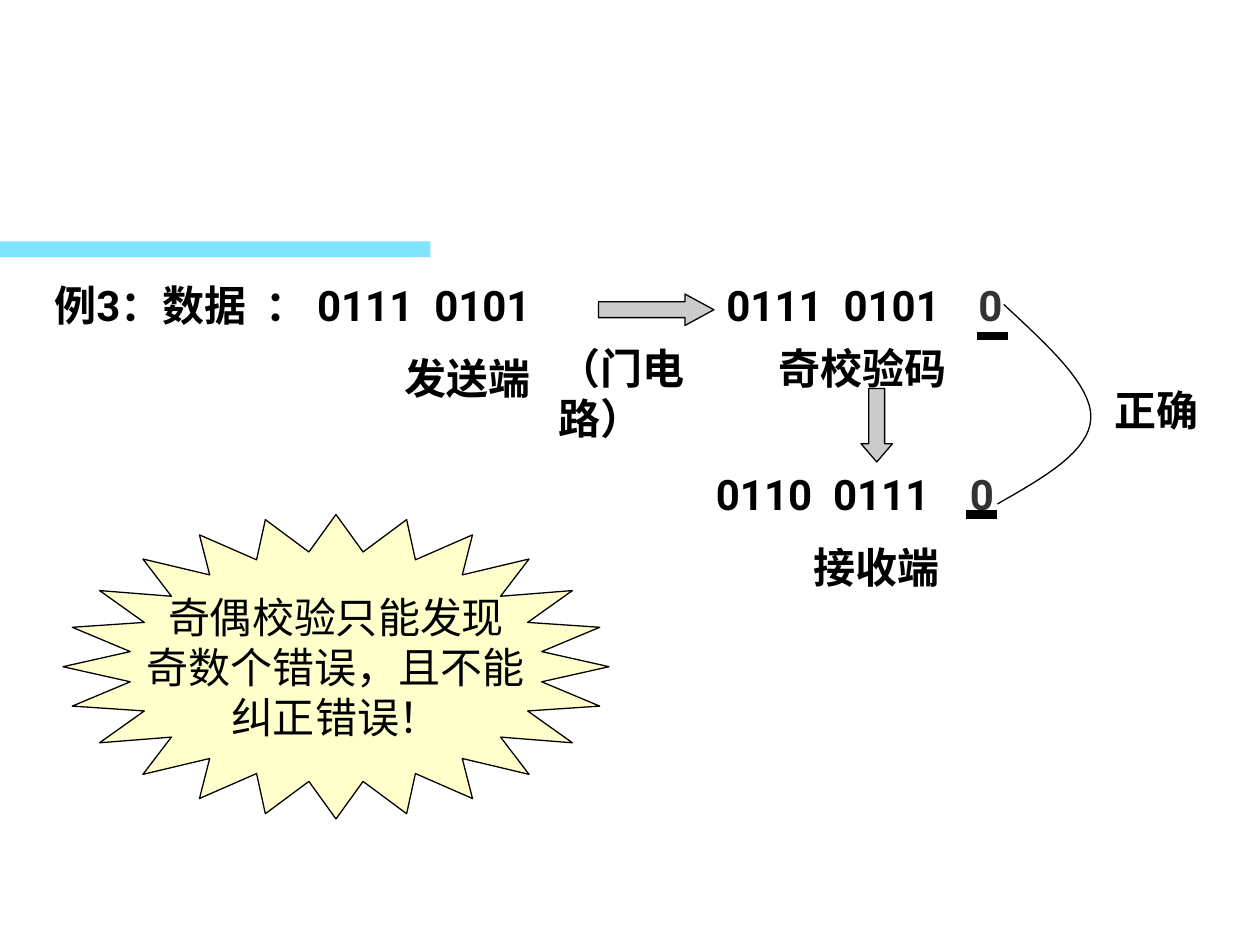
from pptx import Presentation
from pptx.dml.color import RGBColor
from pptx.enum.shapes import MSO_CONNECTOR, MSO_SHAPE
from pptx.enum.text import MSO_ANCHOR, PP_ALIGN
from pptx.oxml.ns import qn
from pptx.util import Inches, Pt
from lxml import etree

RECT = MSO_SHAPE.RECTANGLE
RIGHT = MSO_SHAPE.RIGHT_ARROW
DOWN = MSO_SHAPE.DOWN_ARROW
STAR = MSO_SHAPE.STAR_24_POINT
LINE = MSO_CONNECTOR.STRAIGHT
LEFT, MID = PP_ALIGN.LEFT, PP_ALIGN.CENTER
TOP, CORE = MSO_ANCHOR.TOP, MSO_ANCHOR.MIDDLE

BLACK = RGBColor(0, 0, 0)
DARK = RGBColor(0x33, 0x33, 0x33)
GRAY = RGBColor(0xCB, 0xCB, 0xCB)
CREAM = RGBColor(0xFF, 0xFF, 0xCC)
CYAN = RGBColor(0x00, 0xCC, 0xFF)

COLS, ROWS = 120, 90
WIDE, HIGH = Inches(10), Inches(7.5)


def write(frame, text, color=BLACK, bold=True, align=LEFT, anchor=TOP, wrap=True):
    """Fill a text frame, one paragraph for each line of text."""
    frame.word_wrap = wrap
    frame.vertical_anchor = anchor
    for i, line in enumerate(text.split("\n")):
        para = frame.add_paragraph() if i else frame.paragraphs[0]
        para.alignment = align
        run = para.add_run()
        run.text = line
        run.font.name = "Roboto"
        run.font.size = Pt(24)
        run.font.bold = bold
        run.font.color.rgb = color


def bend(a, b, c, d, steps=16):
    """List the points of a cubic curve after its start."""
    out = []
    for i in range(1, steps + 1):
        t = i / steps
        u = 1 - t
        mix = (u ** 3, 3 * u * u * t, 3 * u * t * t, t ** 3)
        out.append(tuple(sum(m * p[k] for m, p in zip(mix, (a, b, c, d)))
                         for k in (0, 1)))
    return out


class Board:
    """Draw styled elements on a slide, placed in grid columns and rows."""

    def __init__(self, slide):
        """Keep the slide to draw on."""
        self.slide = slide
        self.shapes = slide.shapes

    def place(self, *cells):
        """Turn column and row pairs into slide lengths."""
        return [int(n * (HIGH / ROWS if i % 2 else WIDE / COLS))
                for i, n in enumerate(cells)]

    def label(self, text, box, **form):
        """Add a text box."""
        item = self.shapes.add_textbox(*self.place(*box))
        write(item.text_frame, text, **form)

    def block(self, kind, box, fill, adjust=(), edge=True, alpha=None):
        """Add a filled preset shape."""
        item = self.shapes.add_shape(kind, *self.place(*box))
        item.shadow.inherit = False
        item.fill.solid()
        item.fill.fore_color.rgb = fill
        for i, n in enumerate(adjust):
            item.adjustments[i] = n
        if edge:
            self.stroke(item)
        else:
            item.line.fill.background()
        if alpha is not None:
            tone = item.fill._xPr.find(".//" + qn("a:srgbClr"))
            etree.SubElement(tone, qn("a:alpha")).set("val", str(int(alpha * 100000)))
        return item

    def stroke(self, item, width=0.75):
        """Give an item a black line."""
        item.line.color.rgb = BLACK
        item.line.width = Pt(width)

    def rule(self, col, row, span):
        """Add a thick level line."""
        item = self.shapes.add_connector(LINE, *self.place(col, row, col + span, row))
        self.stroke(item, 5)
        etree.SubElement(item._element.spPr, qn("a:effectLst"))

    def curve(self, start, *parts):
        """Add an open curve made of cubic parts."""
        pts = [start]
        for part in parts:
            pts += bend(pts[-1], *part)
        pts = [self.place(*p) for p in pts]
        path = self.shapes.build_freeform(*pts[0])
        path.add_line_segments(pts[1:], close=False)
        item = path.convert_to_shape()
        item.shadow.inherit = False
        item.fill.background()
        self.stroke(item)


def main():
    """Build the parity check slide."""
    deck = Presentation()
    deck.slide_width, deck.slide_height = WIDE, HIGH
    board = Board(deck.slides.add_slide(deck.slide_layouts[6]))

    board.block(RECT, (0, 23, 41, 1.5), CYAN, edge=False, alpha=0.5)
    for text, box, form in (
        ("例3：数据  ： 0111  0101", (4, 26, 54, 6), {}),
        ("奇校验码", (73, 32, 20, 11), {}),
        ("0111  0101", (68, 26, 28, 6), {}),
        ("0", (92, 26, 7, 6), {"color": DARK}),
        ("发送端", (30, 33, 29, 6), {"align": MID}),
        ("（门电路）", (52, 32, 20, 11), {}),
        ("0110  0111", (67, 44, 26, 6), {}),
        ("0", (91.2, 44, 7, 6), {"color": DARK}),
        ("接收端", (69, 51, 29, 6), {"align": MID}),
        ("正确", (105, 36, 13, 6), {}),
    ):
        board.label(text, box, **form)

    board.block(RIGHT, (57, 28, 11, 3), GRAY, (0.5, 0.92))
    board.block(DOWN, (82, 37, 3, 7), GRAY, (0.5, 0.58))
    board.rule(93, 32, 3)
    board.rule(92, 49, 3)
    board.curve((95.6, 29),
                ((99.8, 32.9), (104, 36.7), (103.9, 39.8)),
                ((103.8, 43), (99.4, 45.5), (95, 48)))

    star = board.block(STAR, (6, 49, 52, 29), CREAM, (0.38,))
    write(star.text_frame, "奇偶校验只能发现\n奇数个错误，且不能\n纠正错误！",
          bold=False, align=MID, anchor=CORE, wrap=False)
    deck.save("out.pptx")


if __name__ == "__main__":
    main()
